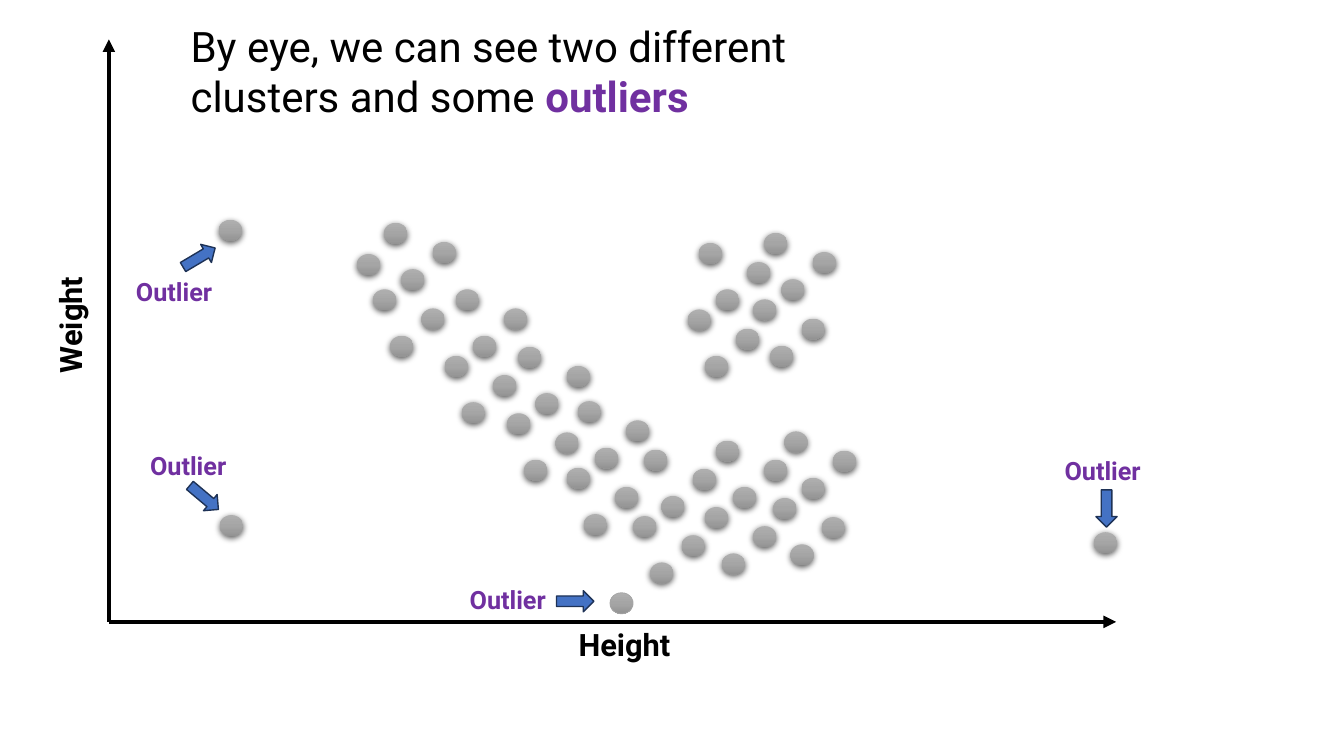
import pptx
import pptx.dml.color
import pptx.enum.shapes
import pptx.enum.text
import pptx.oxml
import pptx.oxml.ns
import pptx.util
from pptx.util import Inches

COLOURS = {
    "black": "000000",
    "outlier": "7030A0",
    "arrow": "4472C4",
    "arrow_edge": "1E3256",
    "dot_top": "AFAFAF",
    "dot": "A5A5A5",
    "dot_bottom": "939393",
}
DOT_SIZE = (0.23, 0.21)
ARROW_SIZE = (0.37, 0.21)
LABEL_SIZE = (1, 0.4)

CLUMP_STARTS = [
    (6.93, 2.41), (7.58, 2.31),
    (3.81, 2.21), (4.52, 2.87), (5.14, 3.44), (5.73, 3.98),
    (6.39, 4.46), (7.1, 4.37), (7.78, 4.28),
]
TRIPLE_STARTS = [(0, 0), (-0.11, 0.66)]
TRIPLE = [(0, 0), (0.17, 0.46), (0.48, 0.19)]
SINGLE_DOTS = [(3.54, 2.52), (2.17, 2.18), (2.18, 5.11), (10.85, 5.28)]
OUTLINED_DOT = (6.05, 5.88)

CALLOUTS = [
    ((1.25, 2.69), (1.79, 2.45), 329.3),
    ((1.39, 4.42), (1.84, 4.83), 40.1),
    ((10.46, 4.47), (10.79, 4.94), 90),
    ((4.56, 5.75), (5.52, 5.86), 0),
]

FRAME_FORMAT = {
    "word_wrap": True,
    "auto_size": pptx.enum.text.MSO_AUTO_SIZE.SHAPE_TO_FIT_TEXT,
    "vertical_anchor": pptx.enum.text.MSO_ANCHOR.TOP,
    "margin_left": Inches(0.1),
    "margin_right": Inches(0.1),
    "margin_top": Inches(0.05),
    "margin_bottom": Inches(0.05),
}


def rgb(name):
    return pptx.dml.color.RGBColor.from_string(COLOURS[name])


def box(position, size):
    return [Inches(value) for value in (*position, *size)]


def drawing_element(body):
    return pptx.oxml.parse_xml(body.replace(">", f" {pptx.oxml.ns.nsdecls('a')}>", 1))


def set_line(shape, colour, width):
    shape.line.color.rgb = rgb(colour)
    shape.line.width = pptx.util.Pt(width)


def write_text(shape, runs, size):
    frame = shape.text_frame
    for name, value in FRAME_FORMAT.items():
        setattr(frame, name, value)
    paragraph = frame.paragraphs[0]
    paragraph.alignment = pptx.enum.text.PP_ALIGN.LEFT
    paragraph.line_spacing = 1.0
    for text, colour, bold in runs:
        run = paragraph.add_run()
        run.text = text
        font_format = {"name": "Roboto", "size": pptx.util.Pt(size), "bold": bold}
        for name, value in font_format.items():
            setattr(run.font, name, value)
        run.font.color.rgb = rgb(colour)


def add_title(slide):
    title = slide.shapes.title
    title.left, title.top, title.width, title.height = box((1.79, 0.15), (7.56, 1.11))
    runs = [
        ("By eye, we can see two different clusters and some ", "black", False),
        ("outliers", "outlier", True),
    ]
    write_text(title, runs, 30)


def add_label(shapes, text, position, size, colour, font_size, rotation=0):
    label = shapes.add_textbox(*box(position, size))
    label.rotation = rotation
    write_text(label, [(text, colour, True)], font_size)


def add_axis(slide, start, end):
    axis = slide.shapes.add_connector(
        pptx.enum.shapes.MSO_CONNECTOR.STRAIGHT, *box(start, end)
    )
    set_line(axis, "black", 3)
    axis.line._get_or_add_ln().append(drawing_element('<a:tailEnd type="triangle"/>'.replace("/>", "></a:tailEnd>")))
    axis._element.spPr.append(drawing_element("<a:effectLst></a:effectLst>"))


def add_dot(slide, position, outlined=False):
    dot = slide.shapes.add_shape(
        pptx.enum.shapes.MSO_SHAPE.OVAL, *box(position, DOT_SIZE)
    )
    dot.shadow.inherit = False
    dot.fill.gradient()
    dot.fill.gradient_angle = 270
    stops = dot._element.spPr.find(pptx.oxml.ns.qn("a:gradFill")).find(
        pptx.oxml.ns.qn("a:gsLst")
    )
    for stop in list(stops):
        stops.remove(stop)
    for place, colour in ((0, "dot_top"), (50000, "dot"), (100000, "dot_bottom")):
        stops.append(drawing_element(
            f'<a:gs pos="{place}"><a:srgbClr val="{COLOURS[colour]}"/></a:gs>'
        ))
    if outlined:
        set_line(dot, "dot", 0.5)
        return
    dot.line.fill.background()
    effects = dot._element.spPr.find(pptx.oxml.ns.qn("a:effectLst"))
    effects.append(drawing_element(
        '<a:outerShdw blurRad="57150" dist="19050" dir="5400000" algn="ctr" rotWithShape="0">'
        f'<a:srgbClr val="{COLOURS["black"]}"><a:alpha val="63000"/></a:srgbClr>'
        "</a:outerShdw>"
    ))


def add_callout(slide, label_position, arrow_position, rotation):
    shapes = slide.shapes.add_group_shape().shapes
    add_label(shapes, "Outlier", label_position, LABEL_SIZE, "outlier", 18)
    arrow = shapes.add_shape(
        pptx.enum.shapes.MSO_SHAPE.RIGHT_ARROW, *box(arrow_position, ARROW_SIZE)
    )
    arrow.rotation = rotation
    arrow.shadow.inherit = False
    arrow.fill.solid()
    arrow.fill.fore_color.rgb = rgb("arrow")
    set_line(arrow, "arrow_edge", 1)


def main():
    presentation = pptx.Presentation()
    presentation.slide_width = Inches(13.33)
    presentation.slide_height = Inches(7.5)
    slide = presentation.slides.add_slide(presentation.slide_layouts[5])

    add_title(slide)
    origin = (1.08, 6.17)
    add_axis(slide, origin, (11.07, 6.17))
    add_axis(slide, origin, (1.08, 0.39))
    add_label(slide.shapes, "Height", (5.64, 6.16), (1.3, 0.47), "black", 22)
    add_label(slide.shapes, "Weight", (0.05, 2.92), (1.29, 0.47), "black", 22, 270)

    for clump_x, clump_y in CLUMP_STARTS:
        for triple_x, triple_y in TRIPLE_STARTS:
            for x, y in TRIPLE:
                add_dot(slide, (clump_x + triple_x + x, clump_y + triple_y + y))
    for position in SINGLE_DOTS:
        add_dot(slide, position)
    add_dot(slide, OUTLINED_DOT, outlined=True)

    for callout in CALLOUTS:
        add_callout(slide, *callout)

    presentation.save("out.pptx")


if __name__ == "__main__":
    main()
